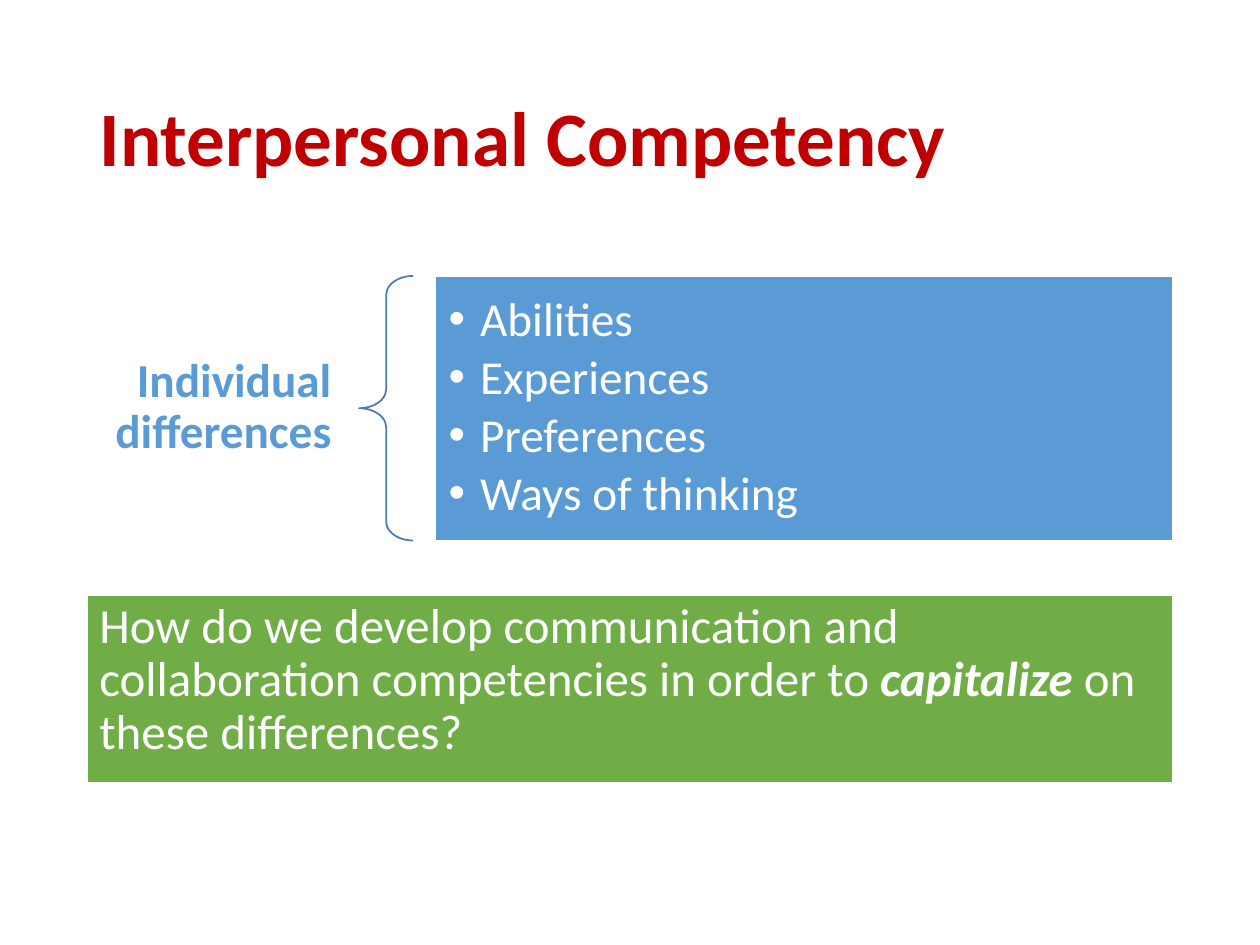
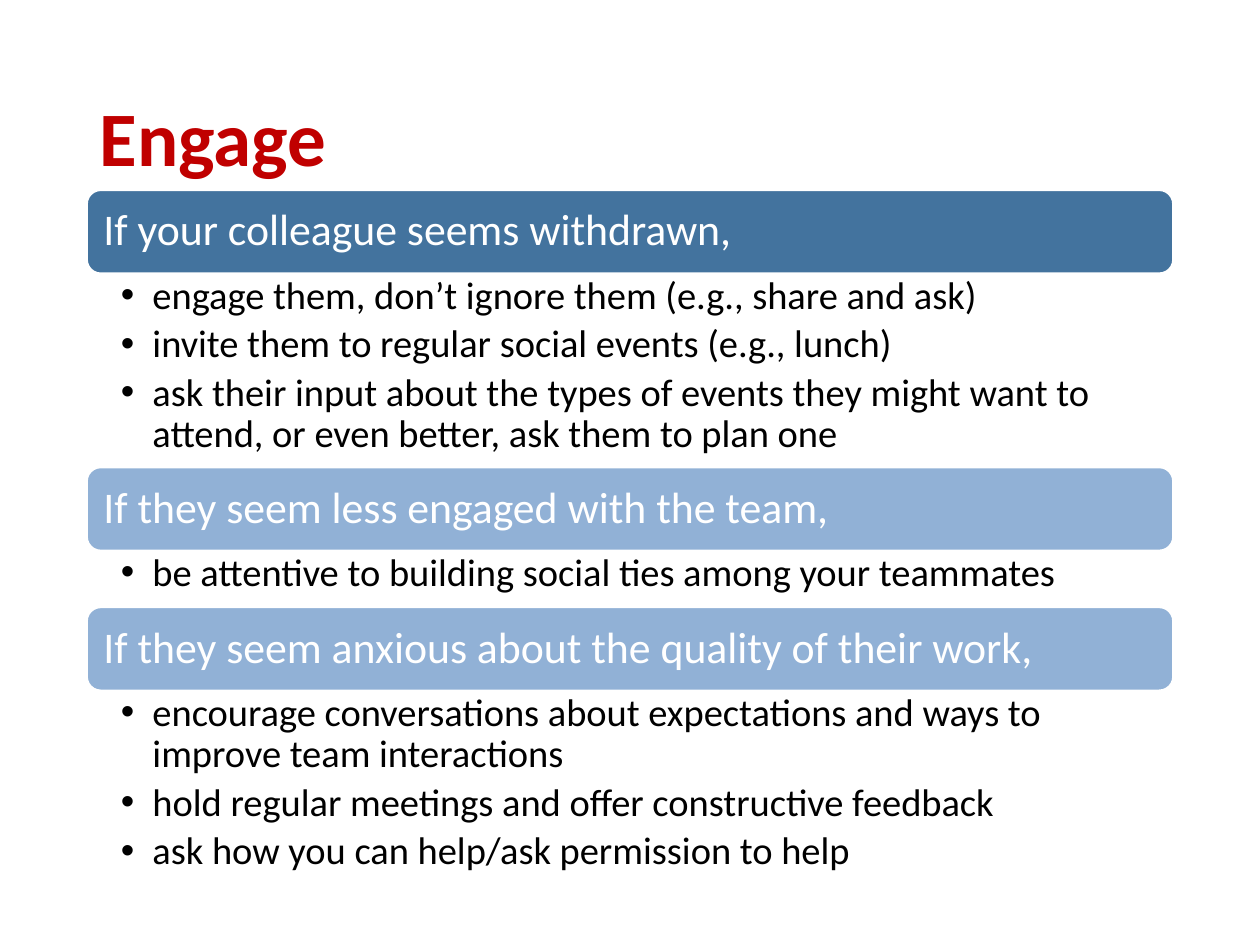
"""Build two slides on interpersonal competency and engaging colleagues."""
from lxml import etree
from pptx import Presentation
from pptx.dml.color import RGBColor
from pptx.enum.shapes import MSO_SHAPE as SHAPE
from pptx.enum.text import MSO_ANCHOR as ANCHOR, MSO_AUTO_SIZE as AUTO_SIZE, PP_ALIGN as ALIGN
from pptx.oxml.ns import qn
from pptx.util import Inches, Pt

FONT = "Calibri"
WHITE = RGBColor(0xFF, 0xFF, 0xFF)
BLACK = RGBColor(0x00, 0x00, 0x00)
RED = RGBColor(0xC0, 0x00, 0x00)
BLUE = RGBColor(0x5B, 0x9B, 0xD5)
BRACE_BLUE = RGBColor(0x49, 0x7C, 0xAB)
DARK_BLUE = RGBColor(0x43, 0x73, 0x9E)
PALE_BLUE = RGBColor(0x91, 0xB1, 0xD6)
GREEN = RGBColor(0x70, 0xAD, 0x47)
LEFT, WIDTH = 0.69, 8.62
BAND_HEIGHT, BAND_STEP = 0.66, 0.65


def place(shape, left, top, width, height, fill=None, line_width=1):
    """Position a shape and give it a fill with a white outline."""
    shape.left, shape.top = Inches(left), Inches(top)
    shape.width, shape.height = Inches(width), Inches(height)
    if fill is not None:
        shape.fill.solid()
        shape.fill.fore_color.rgb = fill
        shape.line.color.rgb = WHITE
        shape.line.width = Pt(line_width)


def write(shape, lines, size, color, margins=(0.1, 0.05, 0.1, 0.05), anchor=ANCHOR.MIDDLE,
          align=ALIGN.LEFT, bold=False, bullets=False):
    """Write one paragraph per line, each a string or a list of run texts."""
    frame = shape.text_frame
    frame.word_wrap = True
    frame.auto_size = AUTO_SIZE.NONE
    frame.vertical_anchor = anchor
    (frame.margin_left, frame.margin_top,
     frame.margin_right, frame.margin_bottom) = [Inches(margin) for margin in margins]
    frame.text = "\n".join(lines)
    for paragraph in frame.paragraphs:
        if bullets:
            properties = paragraph._p.get_or_add_pPr()
            properties.set("marL", str(Inches(0.25)))
            properties.set("indent", str(-Inches(0.25)))
            etree.SubElement(properties, qn("a:buFont")).set("typeface", "Arial")
            etree.SubElement(properties, qn("a:buChar")).set("char", "•")
        paragraph.alignment = align
        paragraph.line_spacing = 0.9
        paragraph.space_before = Pt(0)
        paragraph.space_after = Pt(4 if bullets else 0)
        for run in paragraph.runs:
            run.font.name = FONT
            run.font.size = Pt(size)
            run.font.bold = bold
            run.font.color.rgb = color


presentation = Presentation()
presentation.slide_width, presentation.slide_height = Inches(10), Inches(7.5)
content_layout = presentation.slide_layouts.get_by_name("Title and Content")
comparison_layout = presentation.slide_layouts.get_by_name("Comparison")
competency_slide = presentation.slides.add_slide(content_layout)
engage_slide = presentation.slides.add_slide(comparison_layout)

for slide, title in ((competency_slide, "Interpersonal Competency"), (engage_slide, "Engage")):
    place(slide.shapes.title, LEFT, 0.4, WIDTH, 1.45)
    write(slide.shapes.title, [title], 44, RED, bold=True)

label = competency_slide.shapes.add_textbox(0, 0, 0, 0)
place(label, LEFT, 2.74, 2.15, 0.99)
write(label, ["Individual differences"], 27, BLUE, (0.21, 0.07, 0.21, 0.07),
      align=ALIGN.RIGHT, bold=True)

brace = competency_slide.shapes.add_shape(SHAPE.LEFT_BRACE, 0, 0, 0, 0)
place(brace, 2.85, 2.19, 0.43, 2.1)
brace.adjustments[0], brace.adjustments[1] = 0.35, 0.5
brace.shadow.inherit = False
brace.fill.background()
brace.line.color.rgb = BRACE_BLUE
brace.line.width = Pt(1)

differences = competency_slide.placeholders[1]
place(differences, 3.45, 2.19, 5.86, 2.1, BLUE)
write(differences, ["Abilities", "Experiences", "Preferences", "Ways of thinking"],
      27, WHITE, (0.11, 0.11, 0.11, 0.11), bullets=True)

question = competency_slide.shapes.add_shape(SHAPE.RECTANGLE, 0, 0, 0, 0)
question.shadow.inherit = False
place(question, LEFT, 4.72, WIDTH, 1.5, GREEN, 1.5)
write(question, ["How do we develop communication and collaboration competencies in order to "],
      28, WHITE, anchor=ANCHOR.TOP)
question_paragraph = question.text_frame.paragraphs[0]
for text, emphasis in (("capitalize", True), (" on these differences?", False)):
    run = question_paragraph.add_run()
    run.text = text
    run.font.name = FONT
    run.font.size = Pt(28)
    run.font.color.rgb = WHITE
    run.font.bold = run.font.italic = emphasis

situations = [
    ("If your colleague seems withdrawn,", DARK_BLUE, 1.55, [
        "engage them, don’t ignore them (e.g., share and ask)",
        "invite them to regular social events (e.g., lunch)",
        "ask their input about the types of events they might want to attend, "
        "or even better, ask them to plan one"]),
    ("If they seem less engaged with the team,", PALE_BLUE, 0.46, [
        "be attentive to building social ties among your teammates"]),
    ("If they seem anxious about the quality of their work,", PALE_BLUE, 1.55, [
        "encourage conversations about expectations and ways to improve team interactions",
        "hold regular meetings and offer constructive feedback",
        "ask how you can help/ask permission to help"]),
]
top = 1.51
for index, (situation, fill, list_height, actions) in enumerate(situations, 1):
    band = engage_slide.shapes.add_shape(SHAPE.ROUNDED_RECTANGLE, 0, 0, 0, 0)
    band.shadow.inherit = False
    place(band, LEFT, top, WIDTH, BAND_HEIGHT, fill)
    write(band, [situation], 25, WHITE)
    action_list = engage_slide.placeholders[index]
    place(action_list, LEFT, top + BAND_STEP, WIDTH, list_height)
    write(action_list, actions, 22, BLACK, (0.27, 0.03, 0.17, 0.03), ANCHOR.TOP, bullets=True)
    top += BAND_STEP + list_height

spare_placeholder = engage_slide.placeholders[4]
spare_placeholder.element.getparent().remove(spare_placeholder.element)

presentation.save("out.pptx")
